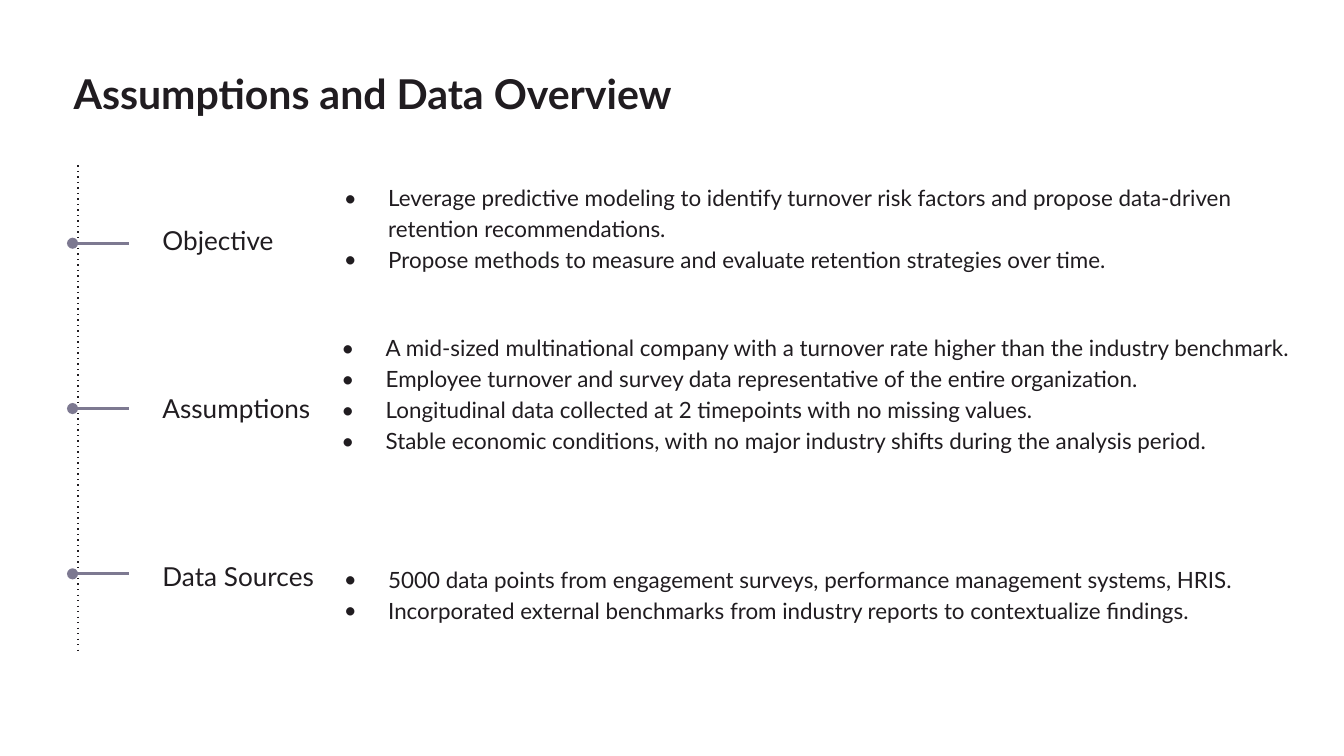
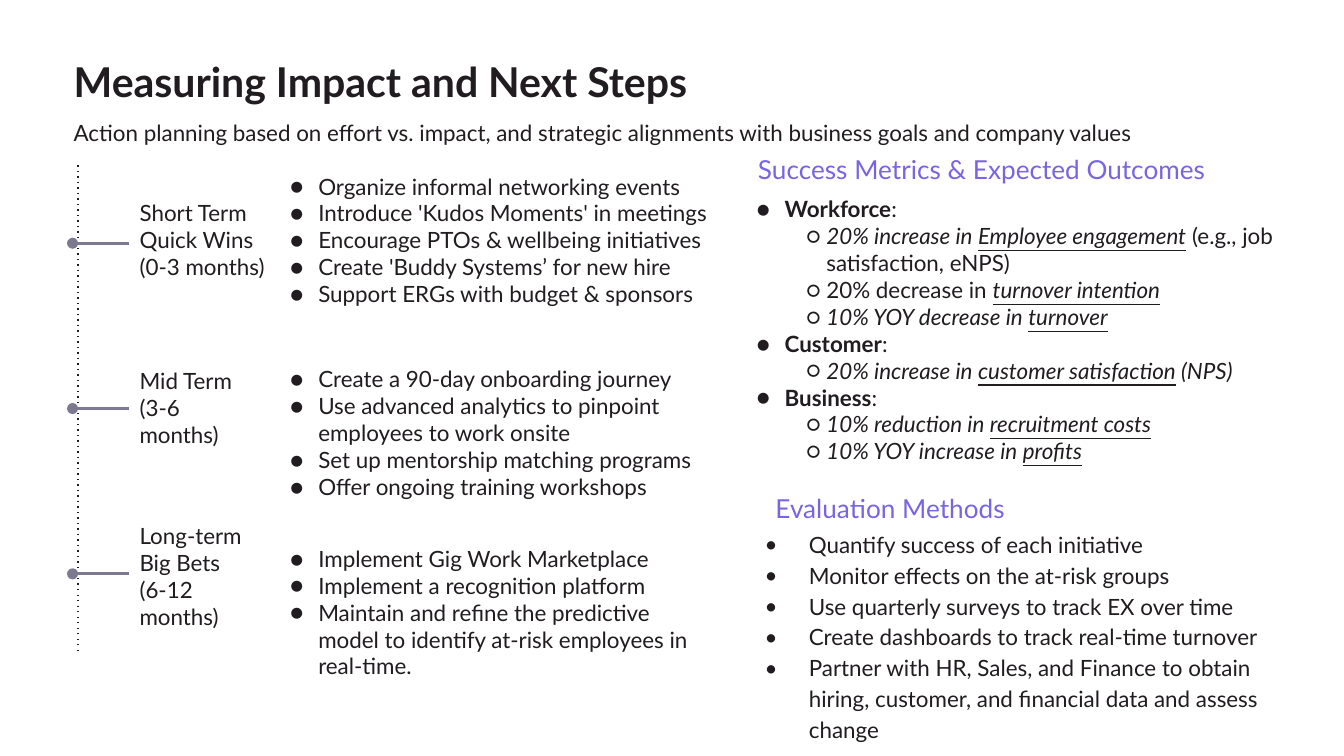
"""Build two timeline slides on employee retention: data overview and next steps."""

from dataclasses import dataclass
from typing import NamedTuple

from lxml.etree import SubElement
from pptx import Presentation
from pptx.dml.color import RGBColor
from pptx.enum.shapes import MSO_CONNECTOR as Connector
from pptx.enum.text import MSO_ANCHOR as Anchor
from pptx.oxml.ns import qn
from pptx.util import Inches, Pt


@dataclass(frozen=True)
class Theme:
    font: str = "Lato"
    ink: str = "201C20"
    marker: str = "7D7991"
    accent: str = "7765E3"
    background: str = "FFFFFF"
    title_size: int = 22
    heading_size: int = 14
    body_size: int = 12


class Box(NamedTuple):
    left: float
    top: float
    width: float
    height: float


class Bullet(NamedTuple):
    symbol: str
    indent: float
    hanging: float
    level: int = 0


class Run(NamedTuple):
    text: str
    bold: bool = False
    italic: bool = False
    underline: bool = False


class Line(NamedTuple):
    runs: tuple
    bullet: Bullet | None = None


class Block(NamedTuple):
    box: Box
    items: tuple
    anchor: Anchor = Anchor.MIDDLE
    inset: float = 0.1


THEME = Theme()
WIDE_DOT = Bullet("•", 0.4, 0.33)
WIDER_DOT = Bullet("•", 0.5, 0.33)
DISC = Bullet("●", 0.25, 0.21)
CIRCLE = Bullet("○", 0.56, 0.15, level=1)
AXIS_X, AXIS_TOP, AXIS_BOTTOM = 0.58, 1.23, 4.85
MARKER_LEFT, MARKER_RIGHT = 0.54, 0.96
MARKER_TOP, MARKER_STEP = 1.81, 1.23
LABEL_TOP, LABEL_STEP, LABEL_HEIGHT = 1.23, 1.25, 1.11

OVERVIEW_LABELS = (("Objective", 1.92), ("Assumptions", 1.92), ("Data Sources", 1.92))
OVERVIEW_BLOCKS = (
    Block(Box(2.39, 1.13, 7.03, 1.11), (
        "Leverage predictive modeling to identify turnover risk factors and propose data-driven "
        "retention recommendations.",
        "Propose methods to measure and evaluate retention strategies over time.",
    )),
    Block(Box(2.47, 2.46, 7.51, 1.11), (
        "A mid-sized multinational company with a turnover rate higher than the industry benchmark.",
        "Employee turnover and survey data representative of the entire organization.",
        "Longitudinal data collected at 2 timepoints with no missing values.",
        "Stable economic conditions, with no major industry shifts during the analysis period.",
    ), Anchor.TOP, 0),
    Block(Box(2.39, 3.65, 7.56, 1.52), (
        "5000 data points from engagement surveys, performance management systems, HRIS.",
        "Incorporated external benchmarks from industry reports to contextualize findings.",
    )),
)

STEP_LABELS = (
    ("Short Term Quick Wins (0-3 months)", 1.25),
    ("Mid Term (3-6 months)", 1.02),
    ("Long-term Big Bets (6-12 months)", 1.04),
)
STEP_BLOCKS = (
    Block(Box(2.02, 1.23, 3.4, 1.11), (
        "Organize informal networking events",
        "Introduce 'Kudos Moments' in meetings",
        "Encourage PTOs & wellbeing initiatives",
        "Create 'Buddy Systems’ for new hire",
        "Support ERGs with budget & sponsors",
    )),
    Block(Box(2.02, 2.48, 3.4, 1.48), (
        "Create a 90-day onboarding journey",
        "Use advanced analytics to pinpoint employees to work onsite",
        "Set up mentorship matching programs",
        "Offer ongoing training workshops",
    )),
    Block(Box(2.02, 3.85, 3.4, 1.41), (
        "Implement Gig Work Marketplace",
        "Implement a recognition platform",
        "Maintain and refine the predictive model to identify at-risk employees in real-time.",
    )),
)
EVALUATION = Block(Box(5.42, 4.02, 4.19, 1.41), (
    "Quantify success of each initiative",
    "Monitor effects on the at-risk groups",
    "Use quarterly surveys to track EX over time",
    "Create dashboards to track real-time turnover",
    "Partner with HR, Sales, and Finance to obtain hiring, customer, and financial data "
    "and assess change",
))


def group(name: str) -> Line:
    return Line((Run(name, bold=True), Run(":")), DISC)


def metric(change: str, measure: str, *rest: Run, italic: bool = True) -> Line:
    runs = (Run(change, italic=italic), Run(measure, italic=True, underline=True), *rest)
    return Line(runs, CIRCLE)


METRICS = (
    group("Workforce"),
    metric("20% increase in ", "Employee engagement", Run(" (e.g., job satisfaction, eNPS)")),
    metric("20% decrease in ", "turnover intention", italic=False),
    metric("10% YOY decrease in ", "turnover"),
    group("Customer"),
    metric("20% increase in ", "customer satisfaction", Run(" (NPS)", italic=True)),
    group("Business"),
    metric("10% reduction in ", "recruitment costs"),
    metric("10% YOY increase in ", "profits"),
)


def add_bullet(paragraph, bullet: Bullet) -> None:
    paragraph.level = bullet.level
    properties = paragraph._p.get_or_add_pPr()
    properties.set("marL", str(Inches(bullet.indent)))
    properties.set("indent", str(-Inches(bullet.hanging)))
    color = SubElement(properties, qn("a:buClr"))
    SubElement(color, qn("a:srgbClr"), val=THEME.ink)
    SubElement(properties, qn("a:buFont"), typeface=THEME.font)
    SubElement(properties, qn("a:buChar"), char=bullet.symbol)


def add_text(slide, box: Box, lines: str | tuple, *, size: int = THEME.body_size,
             color: str = THEME.ink, bold: bool = False, bullet: Bullet | None = None,
             spacing: float | None = None, after: float = 0,
             anchor: Anchor = Anchor.MIDDLE, insets: tuple = (0.1, 0.1)) -> None:
    frame = slide.shapes.add_textbox(*map(Inches, box)).text_frame
    frame.word_wrap = True
    frame.vertical_anchor = anchor
    frame.margin_left = frame.margin_right = Inches(insets[0])
    frame.margin_top = frame.margin_bottom = Inches(insets[1])
    for index, item in enumerate((lines,) if isinstance(lines, str) else lines):
        line = Line((Run(item, bold=bold),), bullet) if isinstance(item, str) else item
        paragraph = frame.add_paragraph() if index else frame.paragraphs[0]
        paragraph.line_spacing = spacing
        paragraph.space_after = Pt(after)
        if line.bullet:
            add_bullet(paragraph, line.bullet)
        for part in line.runs:
            run = paragraph.add_run()
            run.text = part.text
            font = run.font
            font.name, font.size = THEME.font, Pt(size)
            font.color.rgb = RGBColor.from_string(color)
            font.bold, font.italic, font.underline = part.bold, part.italic, part.underline


def add_block(slide, block: Block, bullet: Bullet, spacing: float | None = None) -> None:
    add_text(slide, block.box, block.items, bullet=bullet, spacing=spacing,
             anchor=block.anchor, insets=(block.inset, block.inset))


def add_line(slide, start: tuple, end: tuple, *, color: str, width: float,
             dash: str | None = None, head: str | None = None) -> None:
    connector = slide.shapes.add_connector(Connector.STRAIGHT, *map(Inches, start + end))
    connector.line.color.rgb = RGBColor.from_string(color)
    connector.line.width = Pt(width)
    properties = connector._element.spPr
    outline = properties.find(qn("a:ln"))
    if dash:
        SubElement(outline, qn("a:prstDash"), val=dash)
    if head:
        SubElement(outline, qn("a:headEnd"), type=head)
    SubElement(properties, qn("a:effectLst"))


def add_timeline(slide, labels: tuple, left: float, size: int) -> None:
    add_line(slide, (AXIS_X, AXIS_TOP), (AXIS_X, AXIS_BOTTOM),
             color=THEME.ink, width=0.75, dash="dot")
    for row, (label, width) in enumerate(labels):
        y = MARKER_TOP + row * MARKER_STEP
        add_line(slide, (MARKER_LEFT, y), (MARKER_RIGHT, y),
                 color=THEME.marker, width=1.5, head="oval")
        box = Box(left, LABEL_TOP + row * LABEL_STEP, width, LABEL_HEIGHT)
        add_text(slide, box, label, size=size, after=10)


def add_slide(presentation, title: str, top: float):
    slide = presentation.slides.add_slide(presentation.slide_layouts[6])
    slide.background.fill.solid()
    slide.background.fill.fore_color.rgb = RGBColor.from_string(THEME.background)
    add_text(slide, Box(0.45, top, 9.1, 0.63), title, size=THEME.title_size, bold=True)
    return slide


def add_heading(slide, box: Box, text: str) -> None:
    add_text(slide, box, text, size=THEME.heading_size, color=THEME.accent, insets=(0.15, 0))


def build_overview(presentation) -> None:
    slide = add_slide(presentation, "Assumptions and Data Overview", 0.38)
    for block in OVERVIEW_BLOCKS:
        add_block(slide, block, WIDE_DOT, spacing=1.15)
    add_timeline(slide, OVERVIEW_LABELS, 1.11, THEME.heading_size)


def build_next_steps(presentation) -> None:
    slide = add_slide(presentation, "Measuring Impact and Next Steps", 0.29)
    for block in STEP_BLOCKS:
        add_block(slide, block, DISC)
    add_timeline(slide, STEP_LABELS, 0.94, THEME.body_size)
    add_text(slide, Box(0.45, 0.78, 9.1, 0.31),
             "Action planning based on effort vs. impact, and strategic alignments "
             "with business goals and company values", spacing=1.5, after=10)
    add_text(slide, Box(5.49, 1.36, 4.12, 2.19), METRICS)
    add_block(slide, EVALUATION, WIDER_DOT, spacing=1.15)
    add_heading(slide, Box(5.49, 1.02, 3.9, 0.47), "Success Metrics & Expected Outcomes")
    add_heading(slide, Box(5.62, 3.6, 3.09, 0.36), "Evaluation Methods")


def main() -> None:
    presentation = Presentation()
    presentation.slide_width = Inches(10)
    presentation.slide_height = Inches(10 * 9 / 16)
    build_overview(presentation)
    build_next_steps(presentation)
    presentation.save("out.pptx")


if __name__ == "__main__":
    main()
